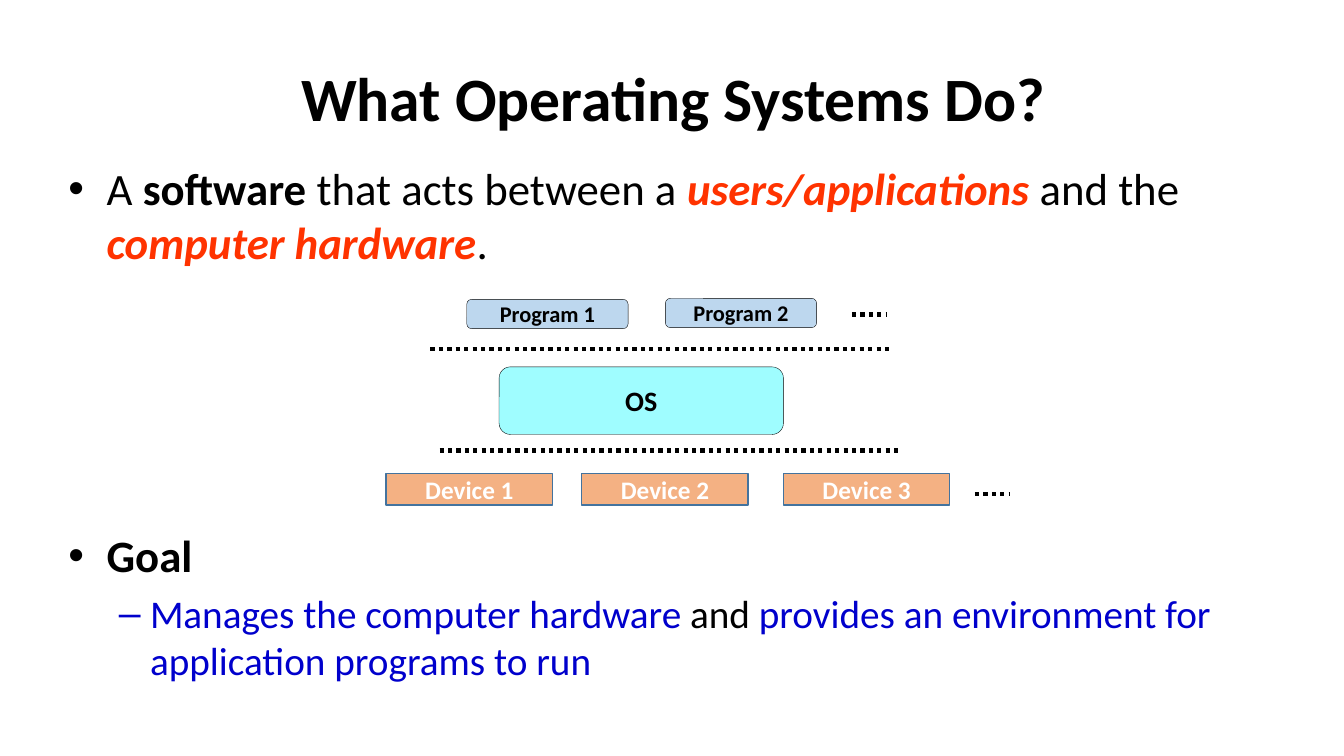
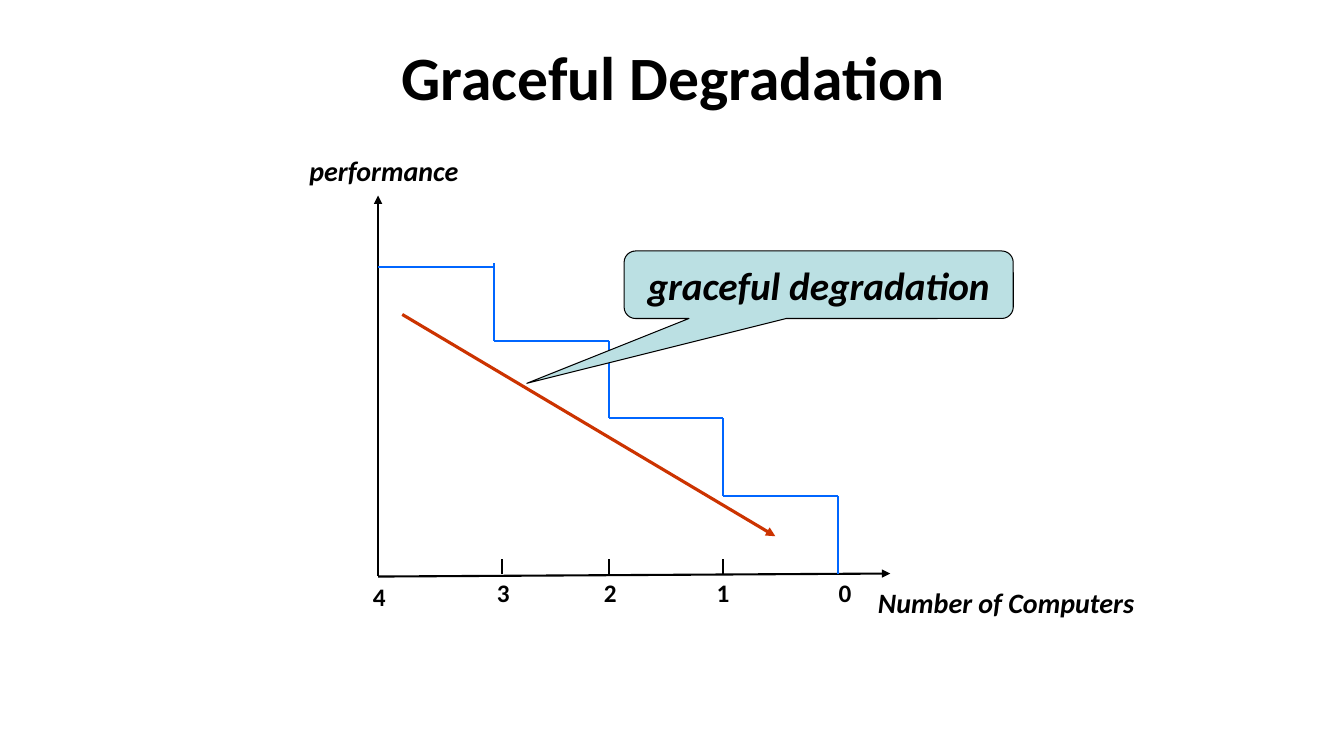
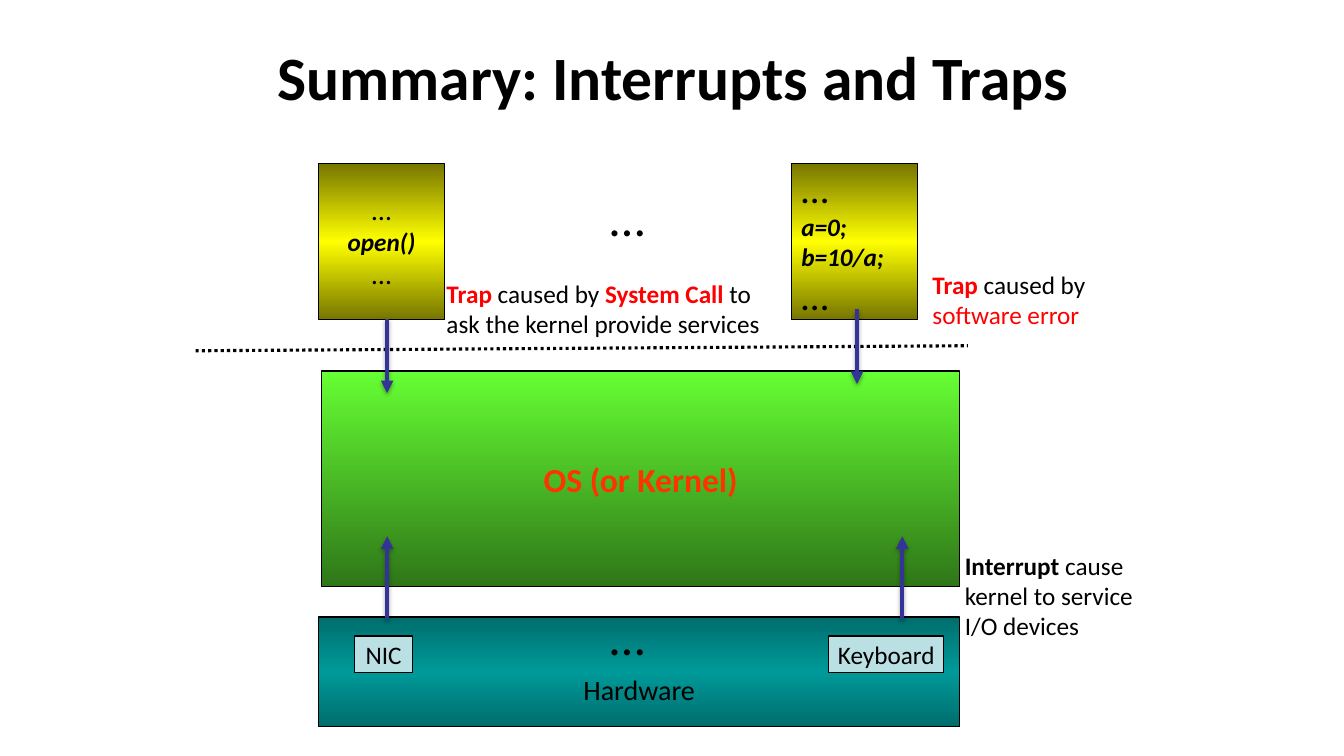
from dataclasses import dataclass
from itertools import pairwise

from lxml.etree import SubElement
from pptx import Presentation
from pptx.dml.color import RGBColor
from pptx.enum.shapes import MSO_CONNECTOR, MSO_SHAPE
from pptx.enum.text import MSO_ANCHOR, MSO_AUTO_SIZE, PP_ALIGN
from pptx.oxml.ns import qn
from pptx.util import Inches, Pt


@dataclass(frozen=True)
class Theme:
    font: str = "Calibri"
    # Colours
    black: str = "000000"
    white: str = "FFFFFF"
    red: str = "FF0000"
    accent: str = "FF3300"
    blue: str = "0000CC"
    stair: str = "0066FF"
    trend: str = "CC3300"
    arrow: str = "333399"
    program: str = "BDD7EE"
    system: str = "9FFDFF"
    device: str = "F4B183"
    edge: str = "43739E"
    pale: str = "BBE0E3"
    yellow: tuple = ("767600", "FFFF00", "767600")
    teal: tuple = ("006D6D", "009999", "006D6D")
    green: tuple = ("66FF33", "2F7618")
    # Type sizes
    title: int = 44
    body: int = 32
    sub: int = 28
    dots: int = 36
    kernel: int = 24
    label: int = 20
    small: int = 18
    tiny: int = 16


T = Theme()


@dataclass
class Run:
    text: str
    look: str = ""
    ink: str = T.black
    size: int = T.small


def add_xml(parent, tag, **attrs):
    return SubElement(parent, qn(tag), attrs)


class Deck:
    def __init__(self):
        self.prs = Presentation()
        self.prs.slide_width = Inches(13.33)
        self.prs.slide_height = Inches(7.5)

    def start(self, title, anchor=MSO_ANCHOR.MIDDLE):
        self.slide = self.prs.slides.add_slide(self.prs.slide_layouts[6])
        self.text(0.68, 0.13, 12, 1.25, [[Run(title, "b", size=T.title)]],
                  align=PP_ALIGN.CENTER, anchor=anchor)

    def fill_text(self, frame, lines, align):
        """Fill a frame with lines, each a list of runs."""
        for i, runs in enumerate(lines):
            para = frame.add_paragraph() if i else frame.paragraphs[0]
            para.alignment = align
            for item in runs:
                run = para.add_run()
                run.text = item.text
                font = run.font
                font.name, font.size = T.font, Pt(item.size)
                font.bold, font.italic = "b" in item.look, "i" in item.look
                font.color.rgb = RGBColor.from_string(item.ink)

    def text(self, x, y, w, h, lines, align=PP_ALIGN.LEFT,
             anchor=MSO_ANCHOR.TOP, wrap=True):
        box = self.slide.shapes.add_textbox(
            Inches(x), Inches(y), Inches(w), Inches(h))
        frame = box.text_frame
        frame.word_wrap = wrap
        if not wrap:
            frame.auto_size = MSO_AUTO_SIZE.SHAPE_TO_FIT_TEXT
        frame.vertical_anchor = anchor
        self.fill_text(frame, lines, align)
        return frame

    def bullet(self, para, mark, left, hang, before=0):
        para.space_before = Pt(before)
        props = para._p.get_or_add_pPr()
        props.set("marL", str(Inches(left)))
        props.set("indent", str(-Inches(hang)))
        add_xml(props, "a:buFont", typeface="Arial")
        add_xml(props, "a:buChar", char=mark)

    def shape(self, x, y, w, h, fill, lines, kind=MSO_SHAPE.RECTANGLE,
              edge=T.black, width=1, align=PP_ALIGN.CENTER, pad=0.1, top=0):
        box = self.slide.shapes.add_shape(
            kind, Inches(x), Inches(y), Inches(w), Inches(h))
        box.shadow.inherit = False
        if isinstance(fill, str):
            box.fill.solid()
            box.fill.fore_color.rgb = RGBColor.from_string(fill)
        else:
            self.shade(box, fill)
        box.line.color.rgb = RGBColor.from_string(edge)
        box.line.width = Pt(width)
        frame = box.text_frame
        frame.word_wrap = True
        frame.vertical_anchor = MSO_ANCHOR.MIDDLE
        frame.margin_left = frame.margin_right = Inches(pad)
        frame.margin_top, frame.margin_bottom = Inches(top), 0
        self.fill_text(frame, lines, align)
        return box

    def shade(self, box, inks):
        """Blend evenly spaced colours from top to bottom."""
        box.fill.gradient()
        box.fill.gradient_angle = 270
        stops = box._element.spPr.find(qn("a:gradFill")).find(qn("a:gsLst"))
        for stop in list(stops):
            stops.remove(stop)
        for i, ink in enumerate(inks):
            stop = add_xml(stops, "a:gs", pos=str(100000 * i // (len(inks) - 1)))
            add_xml(stop, "a:srgbClr", val=ink)

    def line(self, x1, y1, x2, y2, ink=T.black, width=1.5, dots=False,
             head=False, shadow=False):
        link = self.slide.shapes.add_connector(
            MSO_CONNECTOR.STRAIGHT, Inches(x1), Inches(y1), Inches(x2), Inches(y2))
        link.line.color.rgb = RGBColor.from_string(ink)
        link.line.width = Pt(width)
        props = link._element.spPr
        stroke = props.find(qn("a:ln"))
        if dots:
            add_xml(stroke, "a:prstDash", val="sysDot")
        if head:
            add_xml(stroke, "a:tailEnd", type="triangle")
        effects = add_xml(props, "a:effectLst")
        if shadow:
            cast = add_xml(effects, "a:outerShdw", blurRad=str(Pt(3.1)),
                           dist=str(Pt(1.8)), dir="5400000", rotWithShape="0")
            tone = add_xml(cast, "a:srgbClr", val=T.black)
            add_xml(tone, "a:alpha", val="35000")


def purpose(deck):
    deck.start("What Operating Systems Do?", MSO_ANCHOR.BOTTOM)

    # Bullets, with room for the diagram before the goal
    big, sub = T.body, T.sub
    frame = deck.text(0.58, 1.55, 12, 5.2, [
        [Run("A ", size=big), Run("software", "b", size=big),
         Run(" that acts between a ", size=big),
         Run("users/applications", "bi", T.accent, big),
         Run(" and the ", size=big),
         Run("computer hardware", "bi", T.accent, big), Run(".", size=big)],
        [Run("Goal", "b", size=big)],
        [Run("Manages the computer hardware ", ink=T.blue, size=sub),
         Run("and ", size=sub),
         Run("provides an environment for application programs to run",
             ink=T.blue, size=sub)],
    ])
    intro, goal, detail = frame.paragraphs
    deck.bullet(intro, "•", 0.38, 0.38)
    deck.bullet(goal, "•", 0.38, 0.38, 185)
    deck.bullet(detail, "–", 0.81, 0.31, 5.6)

    # Dotted borders and "more" marks
    for x, y, size in [(4.27, 3.46, 4.59), (8.45, 3.12, 0.35),
                       (4.36, 4.47, 4.59), (9.67, 4.9, 0.34)]:
        deck.line(x, y, x + size, y, width=3, dots=True)

    # Programs, system and devices
    soft = MSO_SHAPE.ROUNDED_RECTANGLE
    for x, y, w, h, fill, name, size in [
            (4.63, 2.97, 1.6, 0.29, T.program, "Program 1", T.tiny),
            (6.6, 2.96, 1.5, 0.29, T.program, "Program 2", T.tiny),
            (4.95, 3.64, 2.82, 0.67, T.system, "OS", T.label)]:
        deck.shape(x, y, w, h, fill, [[Run(name, "b", size=size)]], soft, width=0.25)
    for i, x in enumerate((3.83, 5.77, 7.77), 1):
        deck.shape(x, 4.7, 1.65, 0.31, T.device,
                   [[Run(f"Device {i}", "b", T.white)]], edge=T.edge)


def decline(deck):
    deck.start("Graceful Degradation")

    # Axes
    deck.line(3.75, 5.71, 3.75, 1.94, head=True)
    deck.line(3.75, 5.72, 8.83, 5.69, head=True)

    # Ticks and numbers
    for name, x, tick, left, top in [
            ("4", 3.75, 5.56, 3.6, 5.72), ("3", 4.98, 5.55, 4.83, 5.68),
            ("2", 6.04, 5.55, 5.89, 5.68), ("1", 7.17, 5.55, 7.01, 5.68),
            ("0", 8.31, 5.41, 8.22, 5.68)]:
        deck.line(x, tick, x, tick + 0.14)
        deck.text(left, top, 0.33, 0.4, [[Run(name, "b")]], wrap=False)

    # Stairs: down, then across
    deck.line(3.75, 2.65, 4.89, 2.65, T.stair)
    y, drop = 2.61, 0.77
    edges = (4.9, 6.04, 7.17, 8.31)
    for x, after in pairwise(edges):
        deck.line(x, y, x, y + drop, T.stair)
        y += drop
        deck.line(x, y, after, y, T.stair)
    deck.line(edges[-1], y, edges[-1], y + drop, T.stair)

    # Axis names
    for name, x, y, w in [("performance", 2.97, 1.47, 1.73),
                          ("Number of Computers", 8.61, 5.76, 2.76)]:
        deck.text(x, y, w, 0.43, [[Run(name, "bi", size=T.label)]], wrap=False)

    # Trend and callout
    deck.line(3.99, 3.12, 7.69, 5.32, T.trend, 2.25, head=True)
    note = deck.shape(6.19, 2.49, 3.86, 0.67, T.pale,
                      [[Run("graceful degradation", "bi", size=T.sub)]],
                      MSO_SHAPE.ROUNDED_RECTANGULAR_CALLOUT, width=0.75)
    for i, value in enumerate((-0.75, 1.46, 0.17)):
        note.adjustments[i] = value


def signals(deck):
    deck.start("Summary: Interrupts and Traps")
    deck.line(1.94, 3.48, 9.6, 3.43, width=2.25, dots=True)

    # Programs, hardware and kernel
    deck.shape(3.16, 1.62, 1.25, 1.55, T.yellow, [
        [Run("…", size=T.label)], [Run("open()", "bi")], [Run("…", size=T.label)]])
    deck.shape(7.85, 1.62, 1.25, 1.55, T.yellow, [
        [Run("…", size=T.sub)], [Run("a=0;", "bi")], [Run("b=10/a;", "bi")],
        [Run("…", size=T.sub)]], align=PP_ALIGN.LEFT)
    deck.shape(3.16, 6.12, 6.36, 1.09, T.teal,
               [[Run("Hardware", size=T.label)]], top=0.34)
    deck.shape(3.19, 3.68, 6.33, 2.14, T.green,
               [[Run("OS (or Kernel)", "b", T.accent, T.kernel)]])

    # Causes
    trap = Run("Trap ", "b", T.red)
    deck.text(4.33, 2.71, 3.65, 0.71, [
        [trap, Run("caused by "), Run("System Call ", "b", T.red), Run("to")],
        [Run("ask the kernel provide services")]])
    deck.text(9.15, 2.62, 1.86, 0.71, [
        [trap, Run("caused by "), Run("software error", ink=T.red)]])
    deck.text(9.47, 5.41, 2.15, 1.01, [
        [Run("Interrupt", "b"), Run(" cause")],
        [Run("kernel to service I/O devices")]])

    # Arrows into the kernel
    for x, y, end in [(3.84, 6.14, 5.32), (8.5, 3.07, 3.81),
                      (3.84, 3.16, 3.9), (8.95, 6.14, 5.32)]:
        deck.line(x, y, x, end, T.arrow, 3, head=True, shadow=True)

    # Devices and "more" marks
    for name, x, w in [("NIC", 3.52, 0.57), ("Keyboard", 8.22, 1.14)]:
        deck.shape(x, 6.31, w, 0.36, T.pale, [[Run(name)]], width=0.75, pad=0.02)
    for y in (1.8, 5.95):
        deck.text(5.95, y, 0.55, 0.71, [[Run("…", size=T.dots)]], wrap=False)


def main():
    deck = Deck()
    for build in (purpose, decline, signals):
        build(deck)
    deck.prs.save("out.pptx")


if __name__ == "__main__":
    main()
